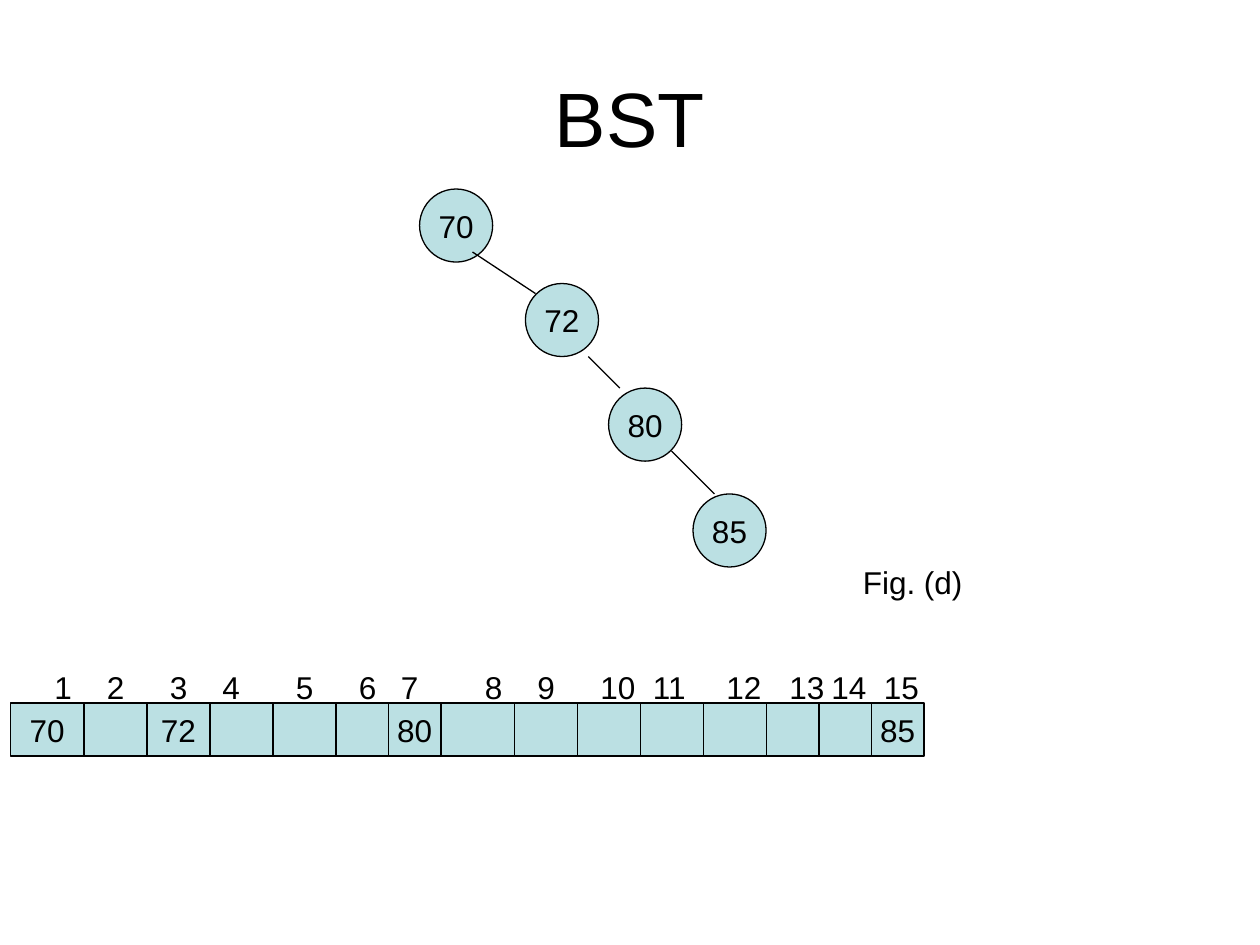
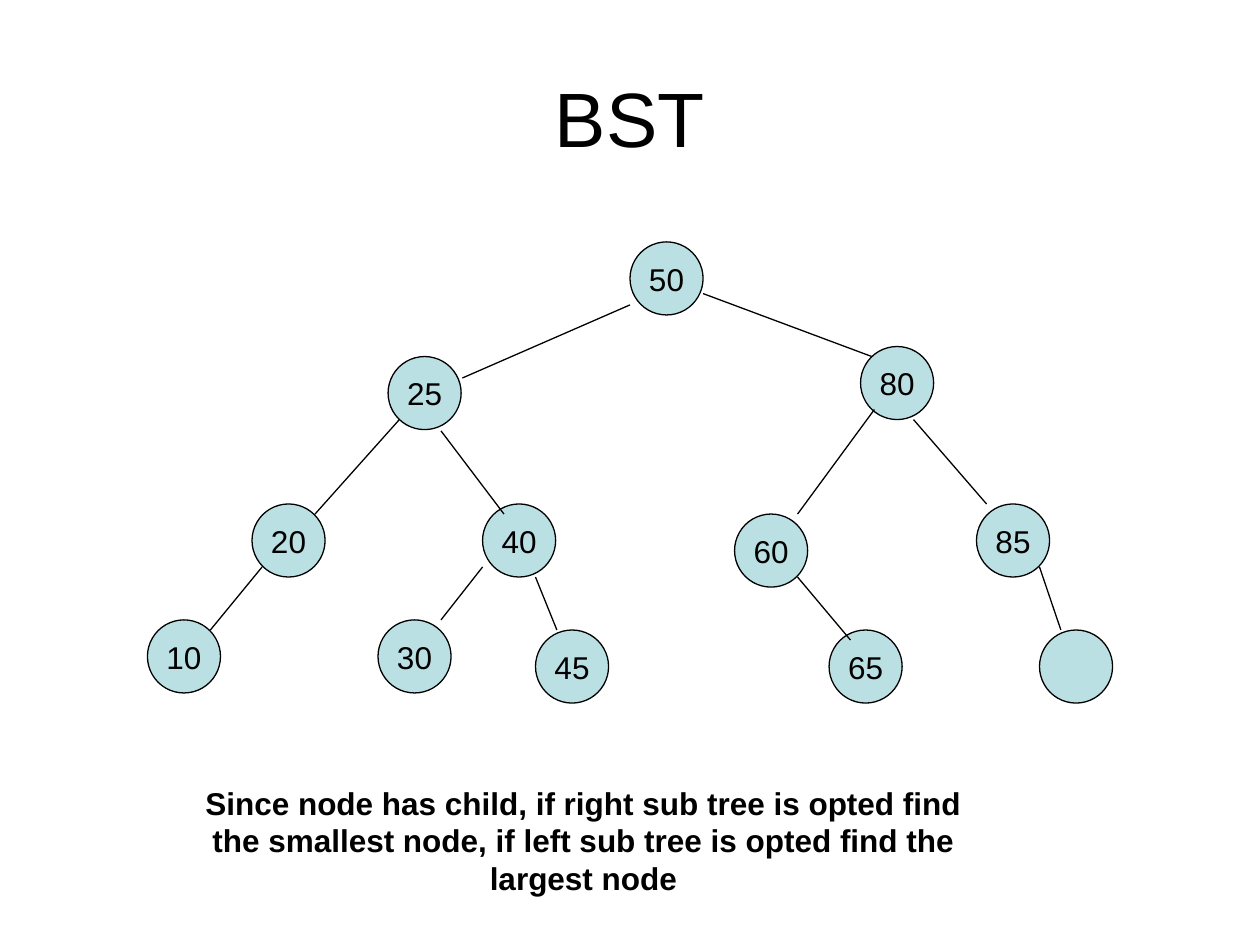
import pptx
import pptx.util
import pptx.dml.color
import pptx.enum.shapes
import pptx.enum.text
import lxml.etree

Inches, Pt = pptx.util.Inches, pptx.util.Pt
RGB = pptx.dml.color.RGBColor.from_string
SHAPE = pptx.enum.shapes.MSO_SHAPE
ALIGN = pptx.enum.text.PP_ALIGN
ANCHOR = pptx.enum.text.MSO_ANCHOR

COLORS = {"fill": "BBE0E3", "ink": "000000"}
FONT = "Arial"
NODE = 0.58       # node diameter
UNIT = 1 / 12     # grid step of the array, in inches
ARRAY_TOP, ARRAY_HEIGHT, INDEX_TOP = 5.58, 0.42, 5.25


def write(sp, text, size=18, bold=False, align=ALIGN.LEFT, anchor=ANCHOR.TOP, wrap=True):
    tf = sp.text_frame
    tf.word_wrap = wrap
    tf.vertical_anchor = anchor
    p = tf.paragraphs[0]
    p.alignment = align
    r = p.add_run()
    r.text = text
    r.font.name = FONT
    r.font.size = Pt(size)
    r.font.bold = bold
    r.font.color.rgb = RGB(COLORS["ink"])


def add_box(s, kind, x, y, w, h, text):
    sp = s.shapes.add_shape(kind, Inches(x), Inches(y), Inches(w), Inches(h))
    sp.shadow.inherit = False
    sp.fill.solid()
    sp.fill.fore_color.rgb = RGB(COLORS["fill"])
    sp.line.color.rgb = RGB(COLORS["ink"])
    sp.line.width = Pt(0.75)
    if text:
        write(sp, text, align=ALIGN.CENTER, anchor=ANCHOR.MIDDLE, wrap=False)


prs = pptx.Presentation()
prs.slide_width, prs.slide_height = Inches(10), Inches(7.5)

# Trees: nodes as (key, left, top), edges as (x1, y1, x2, y2)
skewed_tree = {
    "nodes": [("70", 3.33, 1.5), ("72", 4.17, 2.25), ("80", 4.83, 3.08), ("85", 5.5, 3.92)],
    "edges": [(3.75, 2, 4.25, 2.33), (4.67, 2.83, 4.92, 3.08), (5.33, 3.58, 5.67, 3.92)],
}
full_tree = {
    "nodes": [
        ("50", 5, 1.92),
        ("25", 3.08, 2.83), ("80", 6.83, 2.75),
        ("20", 2, 4), ("40", 3.83, 4), ("60", 5.83, 4.08), ("85", 7.75, 4),
        ("10", 1.17, 4.92), ("30", 3, 4.92), ("45", 4.25, 5), ("65", 6.58, 5), ("", 8.25, 5),
    ],
    "edges": [
        (5, 2.42, 3.67, 3), (5.58, 2.33, 6.92, 2.83),
        (3.17, 3.33, 2.5, 4.08), (3.5, 3.42, 4, 4.08),
        (6.94, 3.25, 6.33, 4.08), (7.25, 3.33, 7.83, 4),
        (2.08, 4.5, 1.67, 5), (3.83, 4.5, 3.5, 4.92), (4.25, 4.58, 4.42, 5),
        (6.33, 4.58, 6.75, 5.08), (8.25, 4.5, 8.42, 5),
    ],
}

# Title and tree on each slide
for tree in (skewed_tree, full_tree):
    s = prs.slides.add_slide(prs.slide_layouts[6])
    title = s.shapes.add_textbox(Inches(0.5), Inches(0.3), Inches(9), Inches(1.25))
    write(title, "BST", size=44, align=ALIGN.CENTER, anchor=ANCHOR.MIDDLE)
    for key, x, y in tree["nodes"]:
        add_box(s, SHAPE.OVAL, x, y, NODE, NODE, key)
    for x1, y1, x2, y2 in tree["edges"]:
        edge = s.shapes.add_connector(pptx.enum.shapes.MSO_CONNECTOR.STRAIGHT,
                                      Inches(x1), Inches(y1), Inches(x2), Inches(y2))
        edge.line.color.rgb = RGB(COLORS["ink"])
        edge.line.width = Pt(0.75)
        lxml.etree.SubElement(edge._element.spPr, pptx.oxml.ns.qn("a:effectLst"))

# Slide 1: array form of the tree, widths and index offsets in grid steps
s = prs.slides[0]
cell_widths = [7, 6, 6, 6, 6, 5, 5, 7, 6, 6, 6, 6, 5, 5, 5]
index_lefts = [4, 9, 15, 20, 27, 33, 37, 45, 50, 56, 61, 68, 74, 78, 83]
stored = {1: "70", 3: "72", 7: "80", 15: "85"}
cell_left = 1
for i, (width, index_left) in enumerate(zip(cell_widths, index_lefts), start=1):
    add_box(s, SHAPE.RECTANGLE, cell_left * UNIT, ARRAY_TOP, width * UNIT, ARRAY_HEIGHT,
            stored.get(i, ""))
    cell_left += width
    index = s.shapes.add_textbox(Inches(index_left * UNIT), Inches(INDEX_TOP),
                                 Inches(0.58), Inches(0.4))
    write(index, str(i))

# Slide 1: figure label
label = s.shapes.add_textbox(Inches(6.75), Inches(4.42), Inches(2.33), Inches(0.4))
write(label, "Fig. (d)")

# Slide 2: rule for deleting a node
s = prs.slides[1]
rule = s.shapes.add_textbox(Inches(1.42), Inches(6.17), Inches(6.42), Inches(1))
write(rule, "Since node has child, if right sub tree is opted find the smallest node, "
            "if left sub tree is opted find the largest node", bold=True, align=ALIGN.CENTER)

prs.save("out.pptx")
